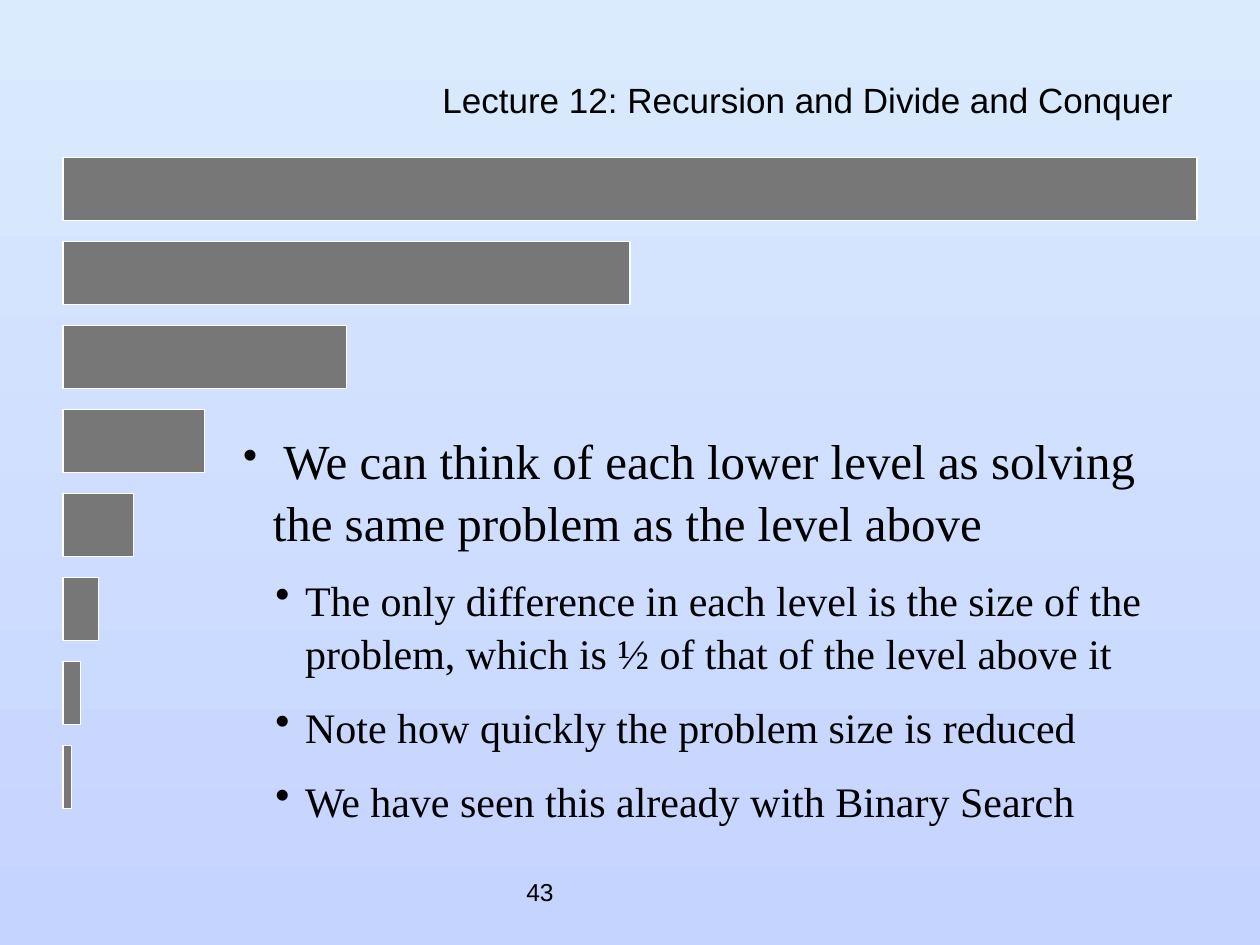
from lxml.etree import SubElement
from pptx import Presentation
from pptx.dml.color import RGBColor
from pptx.enum.shapes import MSO_SHAPE as Shape
from pptx.enum.text import MSO_ANCHOR as Anchor, MSO_AUTO_SIZE as AutoSize, PP_ALIGN as Align
from pptx.oxml.ns import qn
from pptx.util import Cm, Pt

SERIF = "Times New Roman"
SANS = "Arial"


def paint(color, value):
    """Set a colour from a hex string."""
    color.rgb = RGBColor.from_string(value)


def write(para, text, size=24, font=SERIF, color="000000"):
    """Add a formatted run of text to a paragraph."""
    span = para.add_run()
    span.text = text
    span.font.size = Pt(size)
    span.font.name = font
    paint(span.font.color, color)


def add_bullet(para, margin, hanging):
    """Give a paragraph a round bullet with a hanging indent."""
    props = para._p.get_or_add_pPr()
    props.set("marL", str(Cm(margin)))
    props.set("indent", str(-Cm(hanging)))
    SubElement(props, qn("a:buChar")).set("char", "•")


def place(shape, left, top, width, height):
    """Move and size a shape, with lengths in centimetres."""
    shape.left, shape.top = Cm(left), Cm(top)
    shape.width, shape.height = Cm(width), Cm(height)


def fill_background(page, top_color, bottom_color):
    """Cover the page with a vertical gradient."""
    fill = page.background.fill
    fill.gradient()
    fill.gradient_angle = 270
    for stop, value in zip(fill.gradient_stops, (top_color, bottom_color)):
        paint(stop.color, value)


def set_title(page, text, left, top, width, height):
    """Place the right-aligned lecture title."""
    title = page.shapes.title
    place(title, left, top, width, height)
    frame = title.text_frame
    frame.vertical_anchor = Anchor.MIDDLE
    frame.auto_size = AutoSize.NONE
    para = frame.paragraphs[0]
    para.alignment = Align.RIGHT
    para.line_spacing = 0.7
    write(para, text, size=20, font=SANS)


def add_halving_bars(page, left, top, width, height, count=8, bar_height=1.27):
    """Stack bars evenly, each half as wide as the one above."""
    step = (height - bar_height) / (count - 1)
    for level in range(count):
        bar = page.shapes.add_shape(
            Shape.RECTANGLE, Cm(left), Cm(top + level * step),
            Cm(width / 2 ** level), Cm(bar_height))
        bar.shadow.inherit = False
        bar.fill.solid()
        paint(bar.fill.fore_color, "777777")
        paint(bar.line.color, "FFFFFF")
        bar.line.width = Pt(0.75)


def add_points(page, lead, details, left, top, width, height):
    """Add the main bullet and its sub-bullets."""
    box = page.shapes.add_textbox(Cm(left), Cm(top), Cm(width), Cm(height))
    frame = box.text_frame
    frame.word_wrap = True
    frame.auto_size = AutoSize.SHAPE_TO_FIT_TEXT
    para = frame.paragraphs[0]
    para.line_spacing = 1.05
    add_bullet(para, 0.6, 0.6)
    write(para, " ")
    write(para, lead, size=28)
    for detail in details:
        para = frame.add_paragraph()
        para.level = 1
        para.line_spacing = 1.05
        para.space_before = Pt(12)
        add_bullet(para, 1.25, 0.6)
        write(para, detail)


def add_page_number(page, number, left, top, width, height):
    """Add the page number at the foot of the slide."""
    box = page.shapes.add_textbox(Cm(left), Cm(top), Cm(width), Cm(height))
    frame = box.text_frame
    frame.word_wrap = True
    frame.vertical_anchor = Anchor.MIDDLE
    write(frame.paragraphs[0], number, size=14, font=SANS)


def main():
    """Build the deck and save it."""
    deck = Presentation()
    deck.slide_width, deck.slide_height = Cm(25.4), Cm(19.05)
    page = deck.slides.add_slide(deck.slide_layouts[5])
    fill_background(page, "DAEBFE", "C5D3FF")
    set_title(page, "Lecture 12: Recursion and Divide and Conquer",
              1.48, 1.7, 22.43, 0.84)
    add_halving_bars(page, 1.27, 3.18, 22.86, 13.12)
    add_points(
        page,
        "We can think of each lower level as solving the same problem as the level above",
        ["The only difference in each level is the size of the problem, "
         "which is ½ of that of the level above it",
         "Note how quickly the problem size is reduced",
         "We have seen this already with Binary Search"],
        4.65, 8.5, 19.48, 8.28)
    add_page_number(page, "43", 10.36, 17.35, 5.28, 1.27)
    deck.save("out.pptx")


if __name__ == "__main__":
    main()
